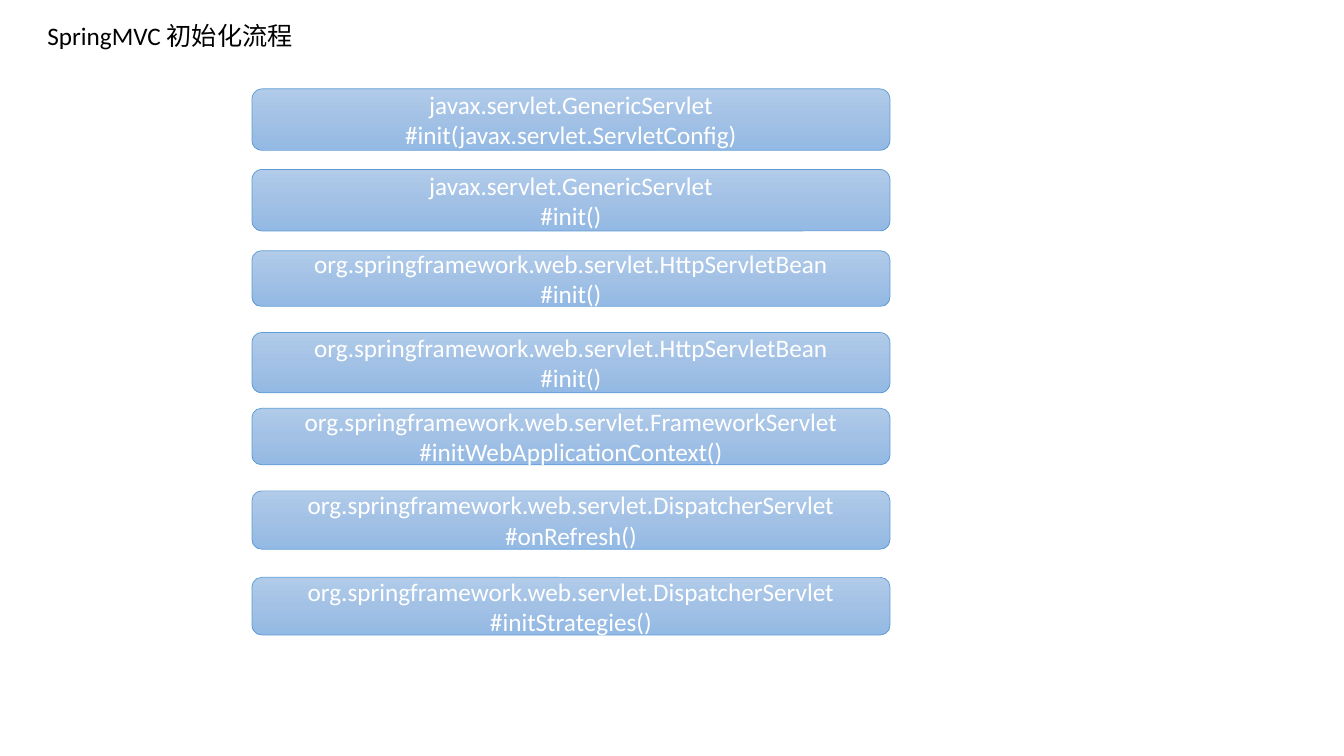
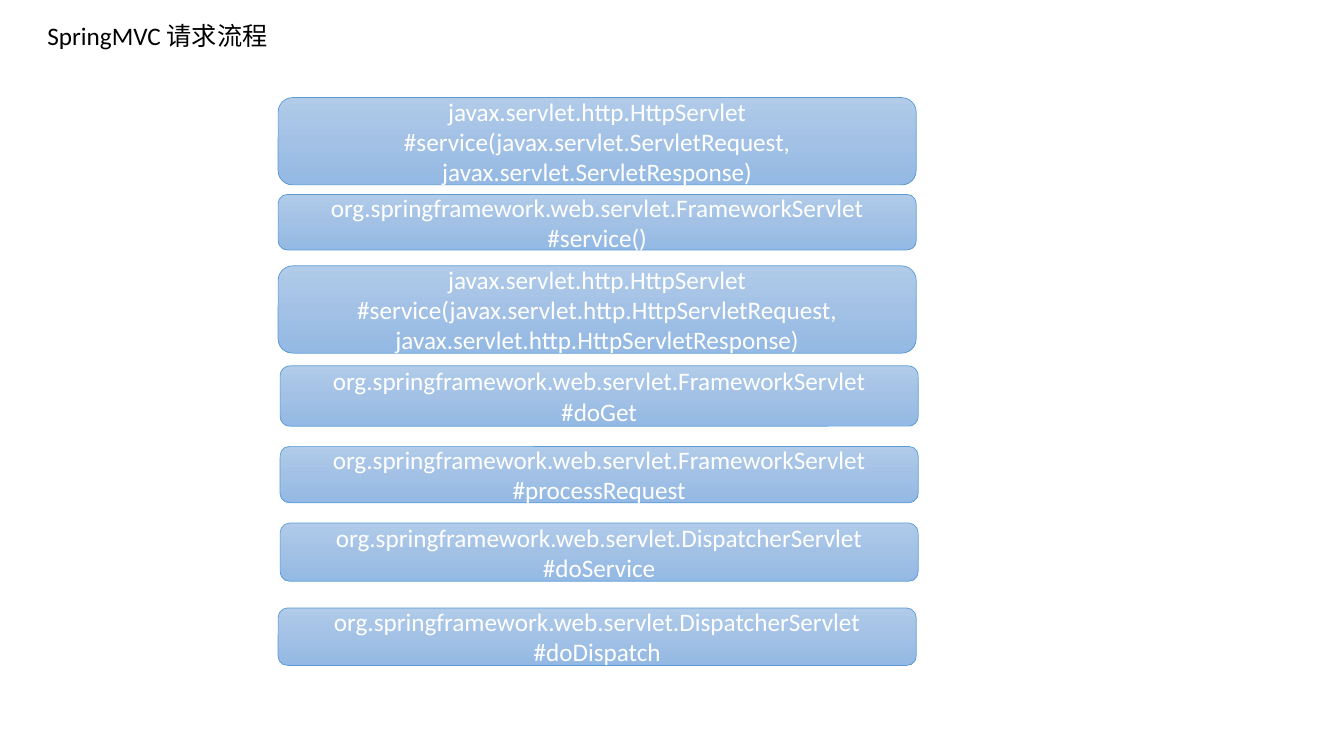
from copy import deepcopy

from pptx import Presentation
from pptx.dml.color import RGBColor as RGB
from pptx.enum.shapes import MSO_SHAPE as SHAPE
from pptx.enum.text import MSO_ANCHOR as ANCHOR, MSO_AUTO_SIZE as FIT, PP_ALIGN as ALIGN
from pptx.oxml.ns import qn
from pptx.util import Cm, Pt

COLORS = {
    "top": "B1CBE9",
    "middle": "A3C1E5",
    "bottom": "93B9E4",
    "edge": "5B9BD5",
    "light": "FFFFFF",
    "dark": "000000",
}
FONT = "Calibri"
SIZE = Pt(18)
BOX_WIDTH = 16.08
TITLE_ONLY = 5

SERVLET = "javax.servlet.GenericServlet"
HTTP = "javax.servlet.http.HttpServlet"
SPRING = "org.springframework.web.servlet."
BEAN = SPRING + "HttpServletBean"
FRAME = SPRING + "FrameworkServlet"
DISPATCH = SPRING + "DispatcherServlet"

# Each step: left, top, height (cm), class, method
INIT_STEPS = [
    (6.35, 2.24, 1.55, SERVLET, "#init(javax.servlet.ServletConfig)"),
    (6.35, 4.27, 1.55, SERVLET, "#init()"),
    (6.35, 6.32, 1.4, BEAN, "#init()"),
    (6.35, 8.38, 1.52, BEAN, "#init()"),
    (6.35, 10.29, 1.42, FRAME, "#initWebApplicationContext()"),
    (6.35, 12.37, 1.47, DISPATCH, "#onRefresh()"),
    (6.35, 14.55, 1.45, DISPATCH, "#initStrategies()"),
]
REQUEST_STEPS = [
    (7.01, 2.46, 2.2, HTTP,
     "#service(javax.servlet.ServletRequest, javax.servlet.ServletResponse)"),
    (7.01, 4.9, 1.4, FRAME, "#service()"),
    (7.01, 6.7, 2.2, HTTP,
     "#service(javax.servlet.http.HttpServletRequest, "
     "javax.servlet.http.HttpServletResponse)"),
    (7.06, 9.22, 1.52, FRAME, "#doGet"),
    (7.06, 11.25, 1.42, FRAME, "#processRequest"),
    (7.06, 13.18, 1.47, DISPATCH, "#doService"),
    (7.01, 15.32, 1.45, DISPATCH, "#doDispatch"),
]


def color(name):
    return RGB.from_string(COLORS[name])


def set_text(frame, text, shade, align, anchor):
    frame.text = text
    frame.word_wrap = True
    frame.auto_size = FIT.NONE
    frame.vertical_anchor = anchor
    for para in frame.paragraphs:
        para.alignment = align
        para.font.name = FONT
        para.font.size = SIZE
        para.font.color.rgb = color(shade)


def set_title(slide, text, width):
    title = slide.shapes.title
    title.left, title.top = Cm(0.94), Cm(0.38)
    title.width, title.height = Cm(width), Cm(1.02)
    set_text(title.text_frame, text, "dark", ALIGN.LEFT, ANCHOR.TOP)


def shade_box(box):
    """Fill the box with the three-stop gradient, running downwards."""
    box.fill.gradient()
    box.fill.gradient_angle = 270
    stops = box.element.spPr.find(".//" + qn("a:gsLst"))
    stops.insert(1, deepcopy(stops[0]))
    names = ("top", "middle", "bottom")
    for i, (stop, name) in enumerate(zip(box.fill.gradient_stops, names)):
        stop.position = i / 2
        stop.color.rgb = color(name)


def add_step(slide, left, top, height, owner, method):
    box = slide.shapes.add_shape(
        SHAPE.ROUNDED_RECTANGLE, Cm(left), Cm(top), Cm(BOX_WIDTH), Cm(height))
    box.shadow.inherit = False
    shade_box(box)
    box.line.color.rgb = color("edge")
    box.line.width = Pt(0.5)
    set_text(box.text_frame, f"{owner}\n{method}", "light", ALIGN.CENTER, ANCHOR.MIDDLE)


def add_flow(deck, title, width, steps):
    slide = deck.slides.add_slide(deck.slide_layouts[TITLE_ONLY])
    set_title(slide, title, width)
    for step in steps:
        add_step(slide, *step)


def main():
    deck = Presentation()
    deck.slide_width, deck.slide_height = Cm(33.87), Cm(19.05)
    add_flow(deck, "SpringMVC 初始化流程", 6.76, INIT_STEPS)
    add_flow(deck, "SpringMVC 请求流程", 6.12, REQUEST_STEPS)
    deck.save("out.pptx")


if __name__ == "__main__":
    main()
